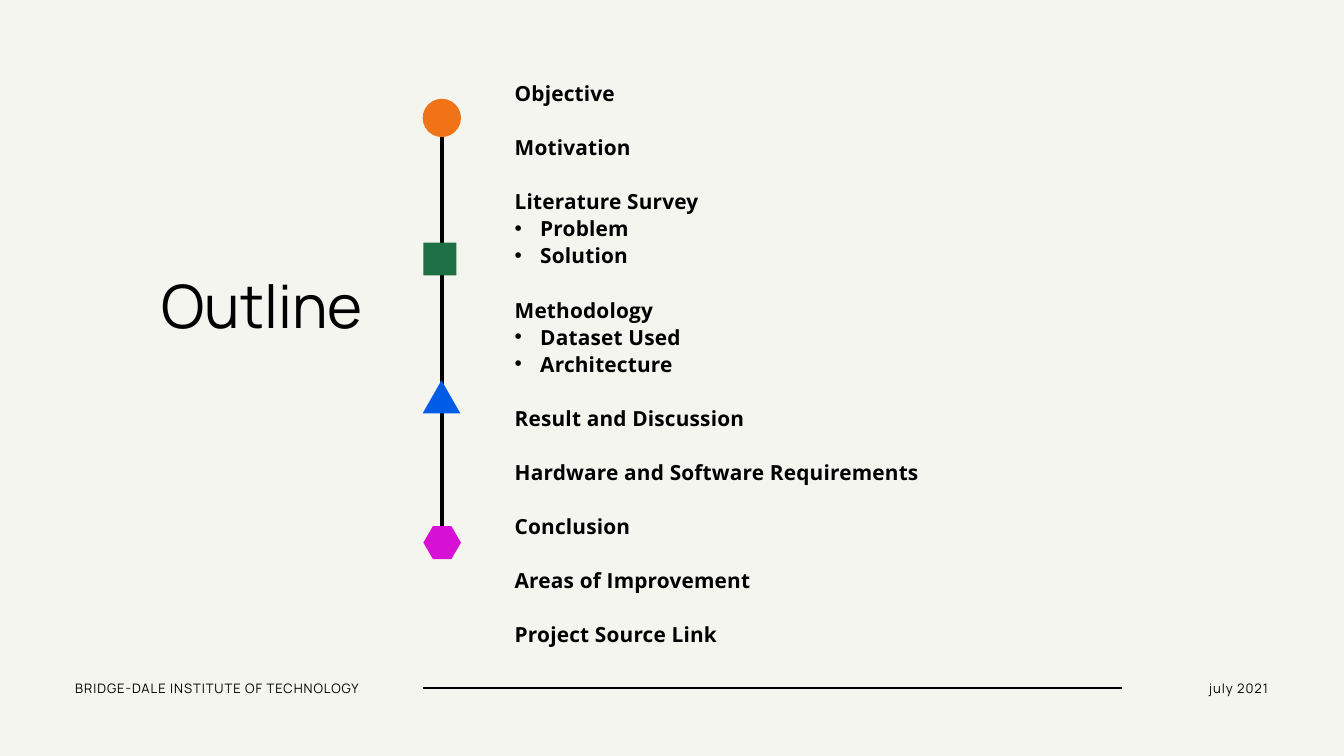
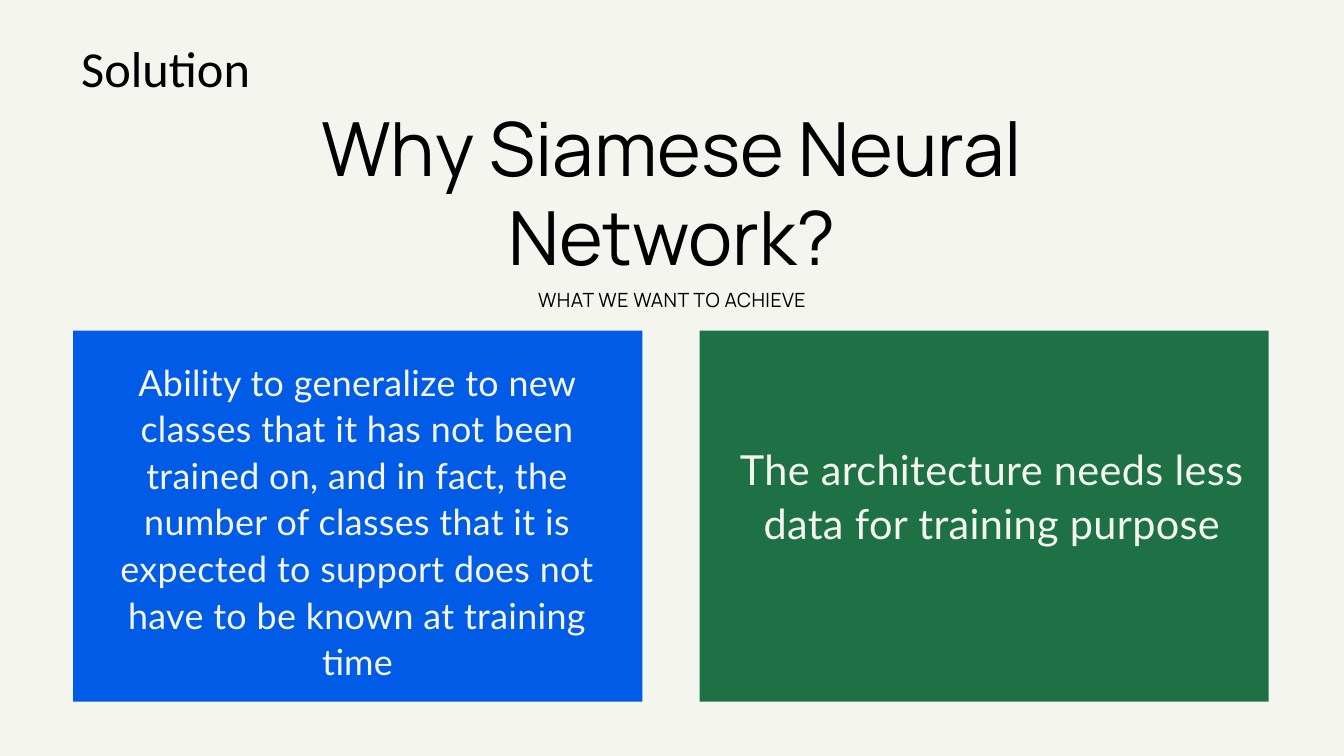
from lxml import etree
from pptx import Presentation
from pptx.dml.color import RGBColor
from pptx.enum.shapes import MSO_CONNECTOR, MSO_SHAPE
from pptx.enum.text import PP_ALIGN
from pptx.oxml.ns import qn
from pptx.util import Inches, Pt

COLORS = {
    "paper": "F5F5EF",
    "ink": "000000",
    "orange": "F17318",
    "green": "1D7144",
    "blue": "005CE6",
    "magenta": "D610D4",
}
HEADING_FONT = "Manrope"
LEFT, CENTER, RIGHT = PP_ALIGN.LEFT, PP_ALIGN.CENTER, PP_ALIGN.RIGHT

OUTLINE = [
    ("Objective", []),
    ("Motivation", []),
    ("Literature Survey", ["Problem", "Solution"]),
    ("Methodology", ["Dataset Used", "Architecture"]),
    ("Result and Discussion", []),
    ("Hardware and Software Requirements", []),
    ("Conclusion", []),
    ("Areas of Improvement", []),
    ("Project Source Link", []),
]
OUTLINE_LEADING = 29
BULLET_INDENT = 0.38

MARKERS = [
    (MSO_SHAPE.OVAL, "orange", (6.29, 1.47, 0.57, 0.57)),
    (MSO_SHAPE.RECTANGLE, "green", (6.3, 3.61, 0.49, 0.49)),
    (MSO_SHAPE.ISOSCELES_TRIANGLE, "blue", (6.29, 5.66, 0.56, 0.49)),
    (MSO_SHAPE.HEXAGON, "magenta", (6.3, 7.83, 0.56, 0.49)),
]

FOOTER = [
    ("july 2021", (16.81, 10.12, 2.06, 0.23), RIGHT),
    ("BRIDGE-DALE INSTITUTE OF TECHNOLOGY", (1.12, 10.12, 5.17, 0.23), LEFT),
]

CARDS = [
    ("blue", "Ability to generalize to new classes that it has not been trained on, "
             "and in fact, the number of classes that it is expected to support "
             "does not have to be known at training time",
     (1.42, 5.31, 7.8, 4.8), 38.4, 49.9),
    ("green", "The architecture needs less data for training purpose",
     (10.66, 6.54, 8.21, 1.59), 44.4, 57.8),
]
CARD_LEFT, CARD_TOP, CARD_W, CARD_H, CARD_GAP = 1.09, 4.92, 8.47, 5.52, 0.85


def rgb(name):
    return RGBColor.from_string(COLORS[name])


def inches(box):
    return [Inches(v) for v in box]


def add_slide(prs):
    s = prs.slides.add_slide(prs.slide_layouts[6])
    s.background.fill.solid()
    s.background.fill.fore_color.rgb = rgb("paper")
    return s


def add_run(p, text, size, font, color="ink", bold=False, spacing=0, leading=None):
    if leading:
        p.line_spacing = Pt(leading)
    r = p.add_run()
    r.text = text
    r.font.size = Pt(size)
    r.font.name = font
    r.font.bold = bold
    r.font.color.rgb = rgb(color)
    if spacing:
        r._r.get_or_add_rPr().set("spc", str(round(spacing * 100)))


def add_frame(s, box, wrap=True, insets=(0, 0)):
    tf = s.shapes.add_textbox(*inches(box)).text_frame
    tf.word_wrap = wrap
    tf.margin_left = tf.margin_right = Inches(insets[0])
    tf.margin_top = tf.margin_bottom = Inches(insets[1])
    return tf


def add_text(s, text, box, align=LEFT, wrap=True, insets=(0, 0), **style):
    p = add_frame(s, box, wrap, insets).paragraphs[0]
    p.alignment = align
    add_run(p, text, **style)


def add_block(s, kind, color, box):
    sp = s.shapes.add_shape(kind, *inches(box))
    sp.shadow.inherit = False
    sp.fill.solid()
    sp.fill.fore_color.rgb = rgb(color)
    sp.line.fill.background()
    return sp


def add_line(s, x1, y1, x2, y2, width):
    line = s.shapes.add_connector(MSO_CONNECTOR.STRAIGHT, *inches((x1, y1, x2, y2)))
    line.line.color.rgb = rgb("ink")
    line.line.width = Pt(width)
    etree.SubElement(line._element.spPr, qn("a:effectLst"))


def add_bullet(p):
    pPr = p._p.get_or_add_pPr()
    pPr.set("marL", str(Inches(BULLET_INDENT)))
    pPr.set("indent", str(-Inches(BULLET_INDENT)))
    etree.SubElement(pPr, qn("a:buFont")).set("typeface", "Arial")
    etree.SubElement(pPr, qn("a:buChar")).set("char", "•")


def add_outline_list(s, box):
    tf = add_frame(s, box)
    style = dict(size=22.3, font="Open Sans", bold=True, spacing=0.2,
                 leading=OUTLINE_LEADING)
    for i, (topic, details) in enumerate(OUTLINE):
        p = tf.add_paragraph() if i else tf.paragraphs[0]
        if i:
            p.space_before = Pt(OUTLINE_LEADING)
        add_run(p, topic, **style)
        for detail in details:
            p = tf.add_paragraph()
            add_run(p, detail, **style)
            add_bullet(p)


def build_outline(prs):
    s = add_slide(prs)
    add_line(s, 6.58, 1.62, 6.58, 8.07, 3.6)
    for kind, color, box in MARKERS:
        marker = add_block(s, kind, color, box)
        if kind == MSO_SHAPE.HEXAGON:
            marker.adjustments[0] = 0.29
    add_line(s, 6.29, 10.24, 16.69, 10.24, 2.2)
    add_text(s, "Outline", (2.03, 4, 3.36, 1.06), align=RIGHT,
             size=64, font=HEADING_FONT, leading=76.8)
    add_outline_list(s, (7.66, 1.17, 8.1, 8.54))
    for text, box, align in FOOTER:
        add_text(s, text, box, align=align,
                 size=14, font=HEADING_FONT, spacing=1, leading=16.8)


def build_solution(prs):
    s = add_slide(prs)
    for i, (color, text, text_box, size, leading) in enumerate(CARDS):
        left = CARD_LEFT + i * (CARD_W + CARD_GAP)
        add_block(s, MSO_SHAPE.RECTANGLE, color, (left, CARD_TOP, CARD_W, CARD_H))
        add_text(s, text, text_box, align=CENTER, size=size, font="Lato",
                 color="paper", spacing=0.4, leading=leading)
    add_text(s, "Why Siamese Neural Network?", (4.24, 1.51, 11.52, 2.65),
             align=CENTER, size=80, font=HEADING_FONT, leading=96)
    add_text(s, "WHAT WE WANT TO ACHIEVE", (4.24, 4.28, 11.52, 0.35),
             align=CENTER, size=21, font=HEADING_FONT, spacing=0.5, leading=25.2)
    add_text(s, "Solution", (1.09, 0.5, 2.75, 1.01), align=CENTER, wrap=False,
             insets=(0.1, 0.05), size=54, font="Calibri")


def main():
    prs = Presentation()
    prs.slide_width, prs.slide_height = Inches(20), Inches(11.25)
    build_outline(prs)
    build_solution(prs)
    prs.save("out.pptx")


if __name__ == "__main__":
    main()
